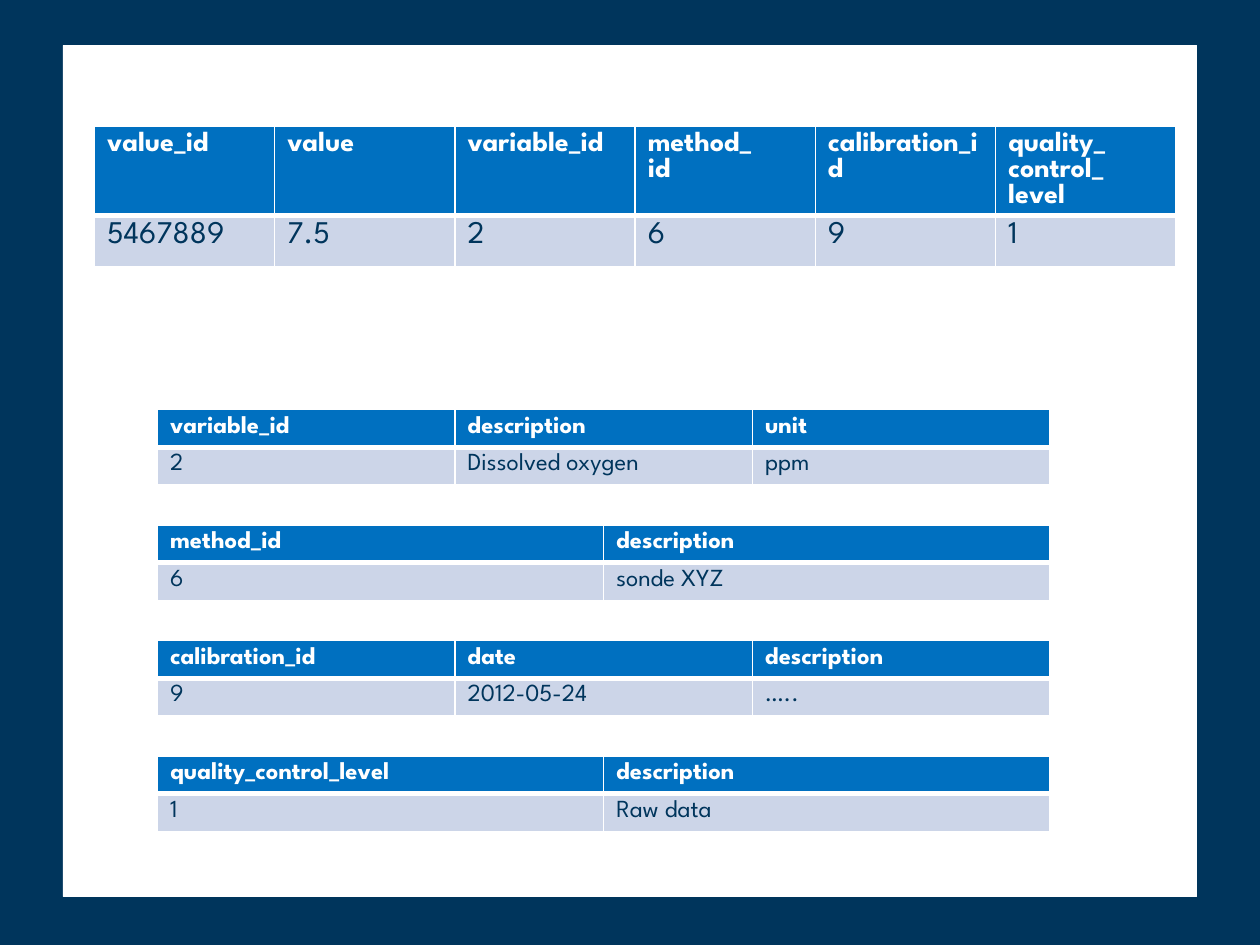
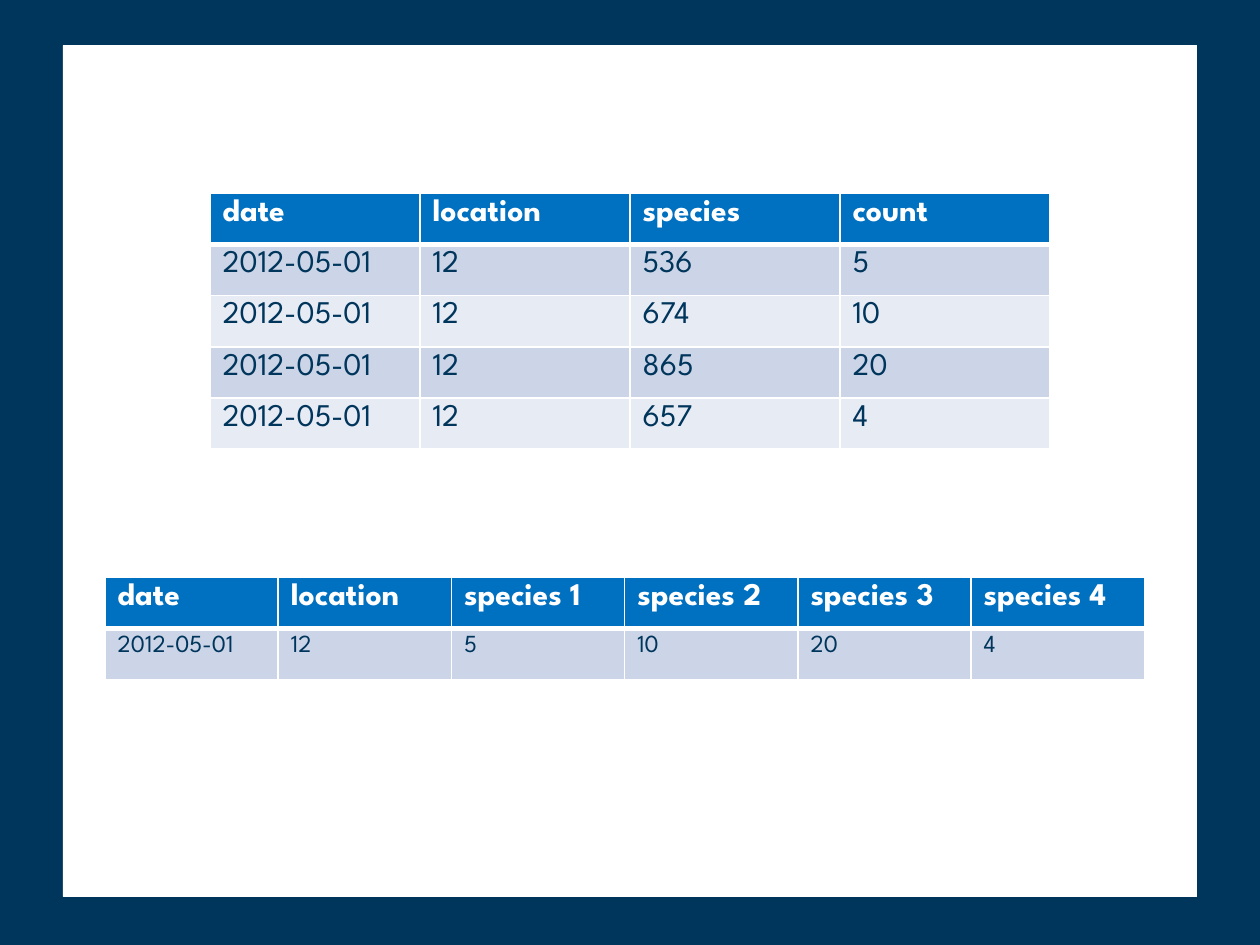
from lxml.etree import SubElement
from pptx import Presentation
from pptx.dml.color import RGBColor
from pptx.enum.shapes import MSO_SHAPE
from pptx.oxml.ns import qn
from pptx.util import Emu, Inches, Pt

FONT = "League Spartan"
NAVY, BLUE, WHITE = "00355C", "0070C0", "FFFFFF"
BANDS = ("CCD5E8", "E7EBF4")

# Grid of 120 columns by 90 rows on a 10 x 7.5 inch slide
UNIT = Inches(10) // 120
TALL, SHORT = 4.88, 3.6  # table row heights in grid rows


def grid(n):
    return Emu(round(n * UNIT))


def color(hex_code):
    return RGBColor.from_string(hex_code)


def paint(fill, hex_code):
    fill.solid()
    fill.fore_color.rgb = color(hex_code)


def add_page(prs):
    """Blank slide with the white panel on the navy frame."""
    slide = prs.slides.add_slide(prs.slide_layouts[6])
    w, h = prs.slide_width, prs.slide_height
    sp = slide.shapes.add_shape(MSO_SHAPE.RECTANGLE, int(w * 0.05), int(h * 0.048),
                                int(w * 0.9), int(h * 0.901))
    sp.shadow.inherit = False
    paint(sp.fill, WHITE)
    sp.line.color.rgb = color(WHITE)
    sp.line.width = Pt(0.5)
    return slide


def set_borders(cell, top, bottom):
    """White cell borders; the line elements come before the fill."""
    tcPr = cell._tc.get_or_add_tcPr()
    widths = {"a:lnL": 1, "a:lnR": 1, "a:lnT": top, "a:lnB": bottom}
    for i, (tag, width) in enumerate(widths.items()):
        ln = SubElement(tcPr, qn(tag), w=str(Pt(width)))
        SubElement(SubElement(ln, qn("a:solidFill")), qn("a:srgbClr"), val=WHITE)
        tcPr.insert(i, ln)


def style_cell(cell, text, row, size):
    header = row == 0
    cell.text_frame.text = text
    for p in cell.text_frame.paragraphs:
        for r in p.runs:
            r.font.name = FONT
            r.font.size = Pt(size)
            r.font.bold = header
            r.font.color.rgb = color(WHITE if header else NAVY)
    paint(cell.fill, BLUE if header else BANDS[(row - 1) % 2])
    set_borders(cell, top=3 if row == 1 else 1, bottom=3 if header else 1)


def add_data_table(slide, left, top, width, rows, head_size=14, body_size=14,
                   row_height=SHORT, head_height=None):
    """Equal columns, one header row, banded body; lengths in grid units."""
    n_cols = len(rows[0])
    heights = [head_height or row_height] + [row_height] * (len(rows) - 1)
    table = slide.shapes.add_table(len(rows), n_cols, grid(left), grid(top),
                                   grid(width), grid(sum(heights))).table
    for col in table.columns:
        col.width = grid(width / n_cols)
    for i, (row, height) in enumerate(zip(rows, heights)):
        table.rows[i].height = grid(height)
        for j, text in enumerate(row):
            style_cell(table.cell(i, j), text, i, body_size if i else head_size)


def add_lookup_slide(prs):
    slide = add_page(prs)
    # Main value table
    add_data_table(slide, 9, 12, 103, [
        ["value_id", "value", "variable_id", "method_\nid", "calibration_id",
         "quality_\ncontrol_\nlevel"],
        ["5467889", "7.5", "2", "6", "9", "1"],
    ], head_size=16, body_size=18, row_height=TALL, head_height=8.4)
    # Lookup tables, stacked at an equal pitch
    lookups = [
        [["variable_id", "description", "unit"], ["2", "Dissolved oxygen", "ppm"]],
        [["method_id", "description"], ["6", "sonde XYZ"]],
        [["calibration_id", "date", "description"], ["9", "2012-05-24", "….."]],
        [["quality_control_level", "description"], ["1", "Raw data"]],
    ]
    for i, rows in enumerate(lookups):
        add_data_table(slide, 15, 39 + 11 * i, 85, rows)


def add_species_slide(prs):
    slide = add_page(prs)
    date, location = "2012-05-01", "12"
    counts = {"536": "5", "674": "10", "865": "20", "657": "4"}
    # Long form: one row per species
    add_data_table(slide, 20, 18.4, 80,
                   [["date", "location", "species", "count"]]
                   + [[date, location, *pair] for pair in counts.items()],
                   head_size=18, body_size=18, row_height=TALL)
    # Wide form: one column per species
    names = [f"species {i}" for i in range(1, len(counts) + 1)]
    add_data_table(slide, 10, 55, 99,
                   [["date", "location", *names], [date, location, *counts.values()]],
                   head_size=18, row_height=TALL)


def main():
    prs = Presentation()
    prs.slide_width, prs.slide_height = grid(120), grid(90)
    paint(prs.slide_master.background.fill, NAVY)
    add_lookup_slide(prs)
    add_species_slide(prs)
    prs.save("out.pptx")


if __name__ == "__main__":
    main()
